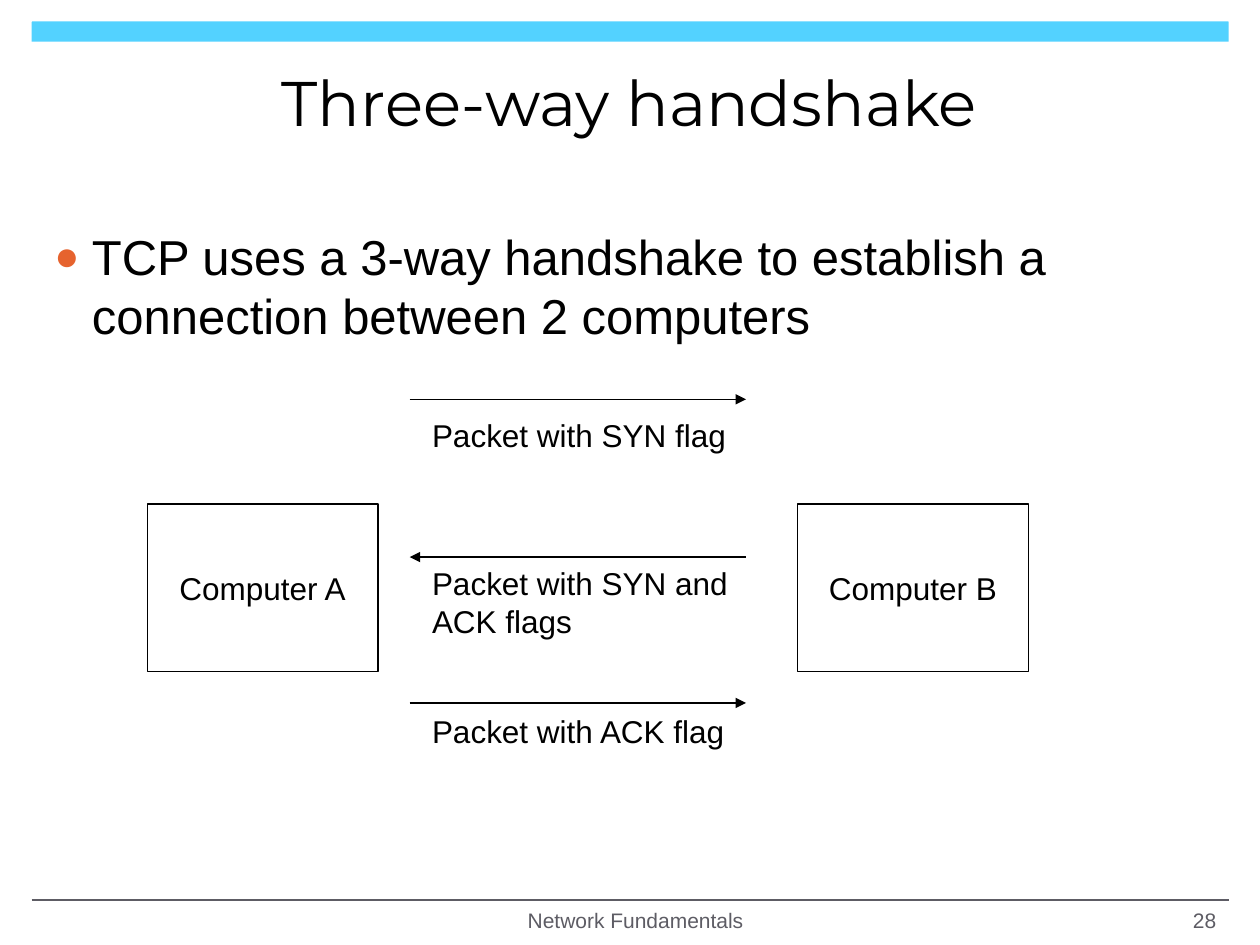
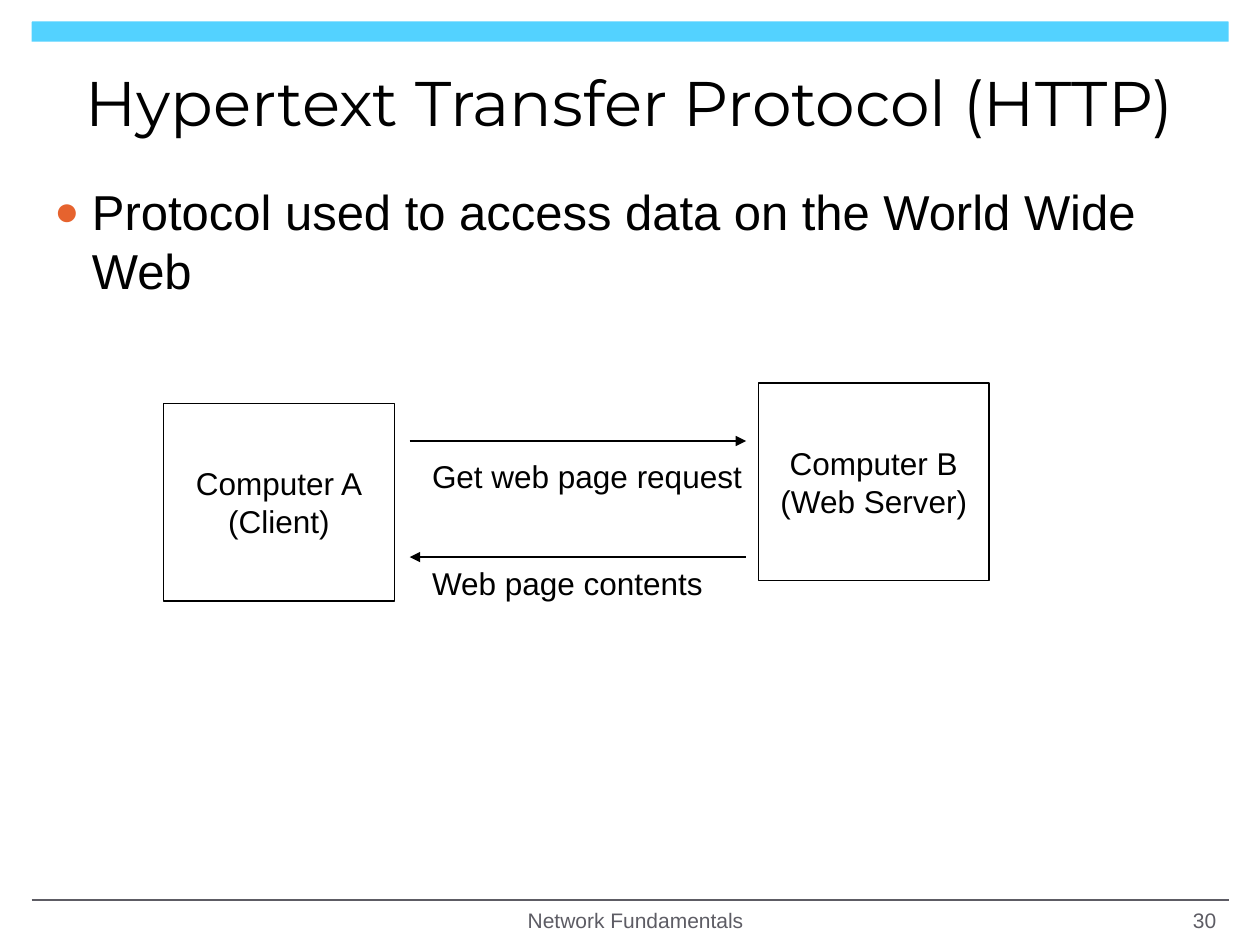
from lxml.etree import SubElement
from pptx import Presentation
from pptx.dml.color import RGBColor
from pptx.enum.shapes import MSO_CONNECTOR as CONN, MSO_SHAPE as SHAPE
from pptx.enum.text import MSO_ANCHOR as ANCHOR, MSO_AUTO_SIZE as FIT, PP_ALIGN as ALIGN
from pptx.oxml.ns import qn
from pptx.util import Cm, Pt

BLACK, GREY, SKY, ORANGE = "000000", "5D5C64", "53D2FF", "E6632E"
LEFT_END, RIGHT_END, LABEL_X = 8.26, 15.04, 8.46


def rgb(value):
    """Turn a hex string into a colour."""
    return RGBColor.from_string(value)


def write(tf, text, size=18, font="Arial", color=BLACK, align=ALIGN.LEFT,
          anchor=ANCHOR.TOP, wrap=True, fit=FIT.NONE):
    """Fill a text frame, one paragraph for each line of text."""
    tf.word_wrap, tf.auto_size, tf.vertical_anchor = wrap, fit, anchor
    for i, line in enumerate(text.split("\n")):
        p = tf.add_paragraph() if i else tf.paragraphs[0]
        p.alignment = align
        r = p.add_run()
        r.text = line
        r.font.size, r.font.name = Pt(size), font
        r.font.color.rgb = rgb(color)


class Deck:
    """Hold the shared style and the current slide."""

    def __init__(self):
        """Start an empty 4:3 presentation."""
        self.prs = Presentation()
        self.prs.slide_width, self.prs.slide_height = Cm(25.4), Cm(19.05)
        self.s = None

    def slide(self, title, number):
        """Add a slide with its band, title and footer."""
        self.s = self.prs.slides.add_slide(self.prs.slide_layouts[1])
        band = self.shape(SHAPE.ROUND_2_SAME_RECTANGLE, 0.64, 0.43, 24.13, 0.41)
        band.adjustments[0], band.adjustments[1] = 0.05, 0
        band.fill.solid()
        band.fill.fore_color.rgb = rgb(SKY)
        band.line.fill.background()
        self.line(0.64, 24.77, 18.14, GREY, 1)
        self.place(self.s.shapes.title, 0.84, 0.76, 23.7, 2.57)
        write(self.s.shapes.title.text_frame, title, size=36, font="Montserrat",
              align=ALIGN.CENTER, anchor=ANCHOR.MIDDLE)
        small = dict(size=12, color=GREY, anchor=ANCHOR.MIDDLE)
        self.text("Network Fundamentals", 8.05, 18.11, 9.53, 0.89,
                  align=ALIGN.CENTER, **small)
        self.text(str(number), 18.85, 18.11, 5.92, 0.89, align=ALIGN.RIGHT, **small)

    def place(self, shape, x, y, w, h):
        """Move and size a placeholder."""
        shape.left, shape.top, shape.width, shape.height = map(Cm, (x, y, w, h))

    def bullet(self, text, inset=0.13):
        """Write the bulleted statement in the body placeholder."""
        body = self.s.placeholders[1]
        self.place(body, 0.84, 3.53, 23.7, 14.25)
        tf = body.text_frame
        tf.margin_top = Cm(inset)
        write(tf, text, size=28)
        pPr = tf.paragraphs[0]._p.get_or_add_pPr()
        pPr.set("marL", str(Cm(0.76)))
        pPr.set("indent", str(-Cm(0.76)))
        SubElement(SubElement(pPr, qn("a:buClr")), qn("a:srgbClr"), val=ORANGE)
        SubElement(pPr, qn("a:buSzPct"), val="85000")
        SubElement(pPr, qn("a:buFont"), typeface="Arial")
        SubElement(pPr, qn("a:buChar"), char="●")

    def shape(self, kind, x, y, w, h):
        """Add a preset shape without shadow."""
        sp = self.s.shapes.add_shape(kind, Cm(x), Cm(y), Cm(w), Cm(h))
        sp.shadow.inherit = False
        return sp

    def text(self, text, x, y, w, h, **style):
        """Add a text box."""
        sp = self.s.shapes.add_textbox(Cm(x), Cm(y), Cm(w), Cm(h))
        write(sp.text_frame, text, **style)

    def computer(self, text, x, y, h):
        """Add an outlined box for one computer."""
        sp = self.shape(SHAPE.RECTANGLE, x, y, 4.65, h)
        sp.fill.background()
        sp.line.color.rgb, sp.line.width = rgb(BLACK), Pt(0.75)
        write(sp.text_frame, text, align=ALIGN.CENTER, anchor=ANCHOR.MIDDLE, wrap=False)

    def line(self, x1, x2, y, color=BLACK, width=0.75):
        """Add a horizontal line."""
        cx = self.s.shapes.add_connector(CONN.STRAIGHT, Cm(x1), Cm(y), Cm(x2), Cm(y))
        cx.line.color.rgb, cx.line.width = rgb(color), Pt(width)
        SubElement(cx._element.spPr, qn("a:effectLst"))
        return cx

    def message(self, text, y, label_y, w, reply=False):
        """Add an arrow between the computers and its label."""
        ln = self.line(LEFT_END, RIGHT_END, y).line._get_or_add_ln()
        SubElement(ln, qn("a:headEnd" if reply else "a:tailEnd"), type="triangle")
        h = 1.02 + 0.76 * text.count("\n")
        self.text(text, LABEL_X, label_y, w, h, wrap=False, fit=FIT.SHAPE_TO_FIT_TEXT)


deck = Deck()

deck.slide("Three-way handshake", 28)
deck.bullet("TCP uses a 3-way handshake to establish a connection between 2 computers",
            inset=1.04)
deck.computer("Computer A", 2.97, 10.16, 3.38)
deck.computer("Computer B", 16.08, 10.16, 3.38)
deck.message("Packet with SYN flag", 8.05, 8.26, 6.43)
deck.message("Packet with SYN and\nACK flags", 11.23, 11.25, 6.48, reply=True)
deck.message("Packet with ACK flag", 14.17, 14.22, 6.43)

deck.slide("Hypertext Transfer Protocol (HTTP)", 30)
deck.bullet("Protocol used to access data on the World Wide Web")
deck.computer("Computer A\n(Client)", 3.3, 8.13, 3.99)
deck.computer("Computer B\n(Web Server)", 15.29, 7.72, 3.99)
deck.message("Get web page request", 8.89, 9.09, 6.81)
deck.message("Web page contents", 11.23, 11.25, 6.02, reply=True)

deck.prs.save("out.pptx")
